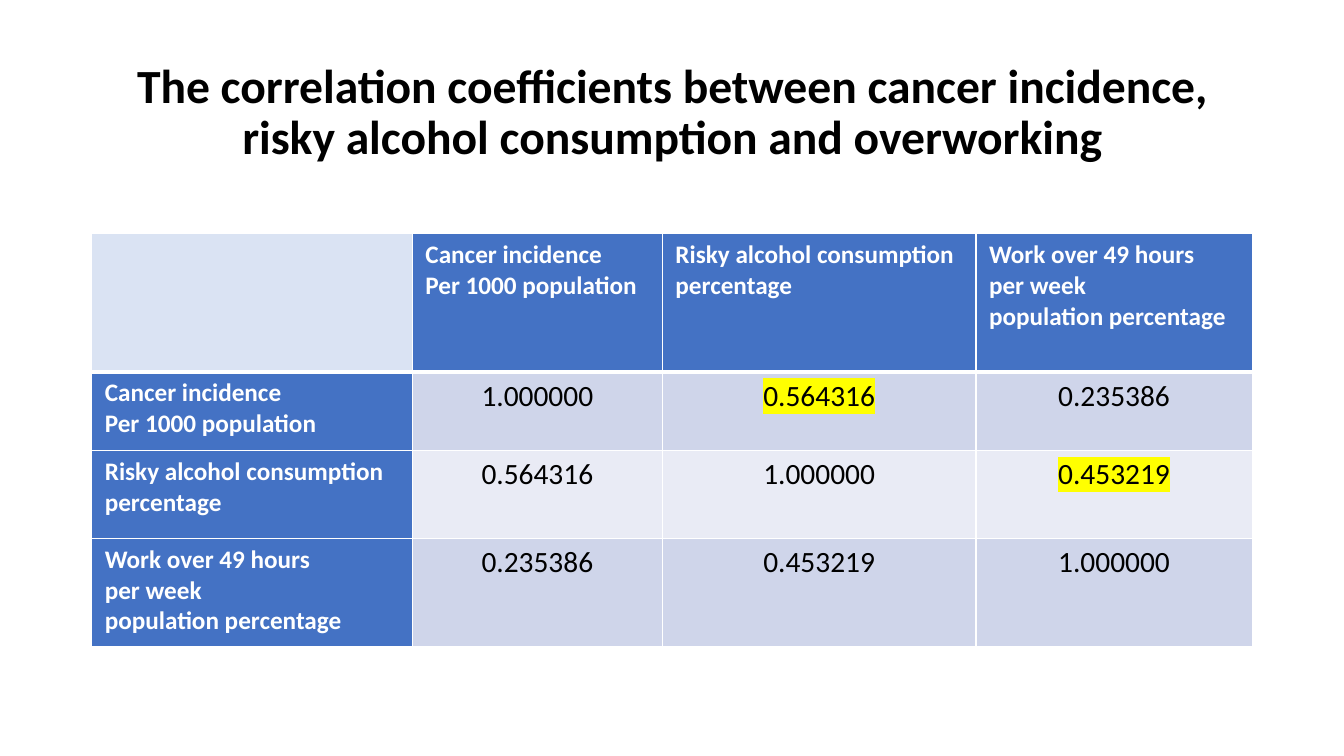
from dataclasses import dataclass

from lxml import etree
from pptx import Presentation
from pptx.dml.color import RGBColor
from pptx.enum.text import MSO_ANCHOR, PP_ALIGN
from pptx.oxml.ns import qn
from pptx.util import Inches, Pt

LEFT, CENTER = PP_ALIGN.LEFT, PP_ALIGN.CENTER
MIDDLE = MSO_ANCHOR.MIDDLE
FONT = "Calibri"
BLACK, WHITE, YELLOW = "000000", "FFFFFF", "FFFF00"
BLUE, PALE = "4472C4", "DAE3F3"
BANDS = ("CFD5EA", "E9EBF5")

TITLE = ("The correlation coefficients between cancer incidence, "
         "risky alcohol consumption and overworking")
LABELS = (
    "Cancer incidence\nPer 1000 population",
    "Risky alcohol consumption percentage",
    "Work over 49 hours\nper week\npopulation percentage",
)
VALUES = (
    ("1.000000", "0.564316", "0.235386"),
    ("0.564316", "1.000000", "0.453219"),
    ("0.235386", "0.453219", "1.000000"),
)
MARKED = {(0, 1), (1, 2)}
WIDTHS = (3.18, 2.48, 3.11, 2.74)
HEIGHTS = (1.37, 0.78, 0.87, 1.08)
INSETS = {
    "margin_left": Inches(0.13), "margin_right": Inches(0.13),
    "margin_top": Inches(0.06), "margin_bottom": Inches(0.06),
}


@dataclass(frozen=True)
class Style:
    size: float
    color: str
    bold: bool
    align: PP_ALIGN


HEADING = Style(34, BLACK, True, CENTER)
LABEL = Style(18, WHITE, True, LEFT)
VALUE = Style(21, BLACK, False, CENTER)


@dataclass(frozen=True)
class Entry:
    text: str
    fill: str
    style: Style
    marked: bool = False


def paint(target, color: str) -> None:
    """Give a fill one solid colour."""
    target.solid()
    target.fore_color.rgb = RGBColor.from_string(color)


def write(frame, text: str, style: Style) -> None:
    frame.text = text
    form = {"name": FONT, "size": Pt(style.size), "bold": style.bold}
    for para in frame.paragraphs:
        para.alignment = style.align
        for run in para.runs:
            for key, value in form.items():
                setattr(run.font, key, value)
            paint(run.font.fill, style.color)


def mark(run, color: str) -> None:
    """Highlight a run that already has its colour."""
    light = etree.Element(qn("a:highlight"))
    etree.SubElement(light, qn("a:srgbClr"), val=color)
    run.font._element.find(qn("a:solidFill")).addnext(light)


def border(cell, top: float, bottom: float) -> None:
    """Draw white edges, with the given top and bottom widths in points."""
    props = cell._tc.get_or_add_tcPr()
    edges = {"L": 1, "R": 1, "T": top, "B": bottom}
    for place, (side, width) in enumerate(edges.items()):
        line = etree.Element(qn(f"a:ln{side}"), w=str(Pt(width)))
        fill = etree.SubElement(line, qn("a:solidFill"))
        etree.SubElement(fill, qn("a:srgbClr"), val=WHITE)
        props.insert(place, line)


def entry(row: int, col: int) -> Entry:
    """Find what the table shows at a row and column."""
    if row == 0 and col == 0:
        return Entry("", PALE, LABEL)
    if row == 0 or col == 0:
        return Entry(LABELS[max(row, col) - 1], BLUE, LABEL)
    spot = (row - 1, col - 1)
    return Entry(VALUES[spot[0]][spot[1]], BANDS[spot[0] % 2], VALUE,
                 spot in MARKED)


def add_title(slide) -> None:
    title = slide.shapes.title
    title.left, title.top = Inches(0.92), Inches(0.4)
    title.width, title.height = Inches(11.5), Inches(1.45)
    frame = title.text_frame
    frame.word_wrap = True
    frame.vertical_anchor = MIDDLE
    write(frame, TITLE, HEADING)
    para = frame.paragraphs[0]
    para.line_spacing = 0.9
    para.space_after = Pt(6)


def add_matrix(slide) -> None:
    table = slide.shapes.add_table(
        len(HEIGHTS), len(WIDTHS), Inches(0.91), Inches(2.32),
        Inches(sum(WIDTHS)), Inches(sum(HEIGHTS))).table
    for column, width in zip(table.columns, WIDTHS):
        column.width = Inches(width)
    for row, (line, height) in enumerate(zip(table.rows, HEIGHTS)):
        line.height = Inches(height)
        for col, cell in enumerate(line.cells):
            item = entry(row, col)
            for key, value in INSETS.items():
                setattr(cell, key, value)
            paint(cell.fill, item.fill)
            border(cell, 3 if row == 1 else 1, 3 if row == 0 else 1)
            write(cell.text_frame, item.text, item.style)
            if item.marked:
                mark(cell.text_frame.paragraphs[0].runs[0], YELLOW)


def main() -> None:
    deck = Presentation()
    deck.slide_width, deck.slide_height = Inches(13.33), Inches(7.5)
    slide = deck.slides.add_slide(deck.slide_layouts[5])
    paint(slide.background.fill, WHITE)
    add_title(slide)
    add_matrix(slide)
    deck.save("out.pptx")


if __name__ == "__main__":
    main()
